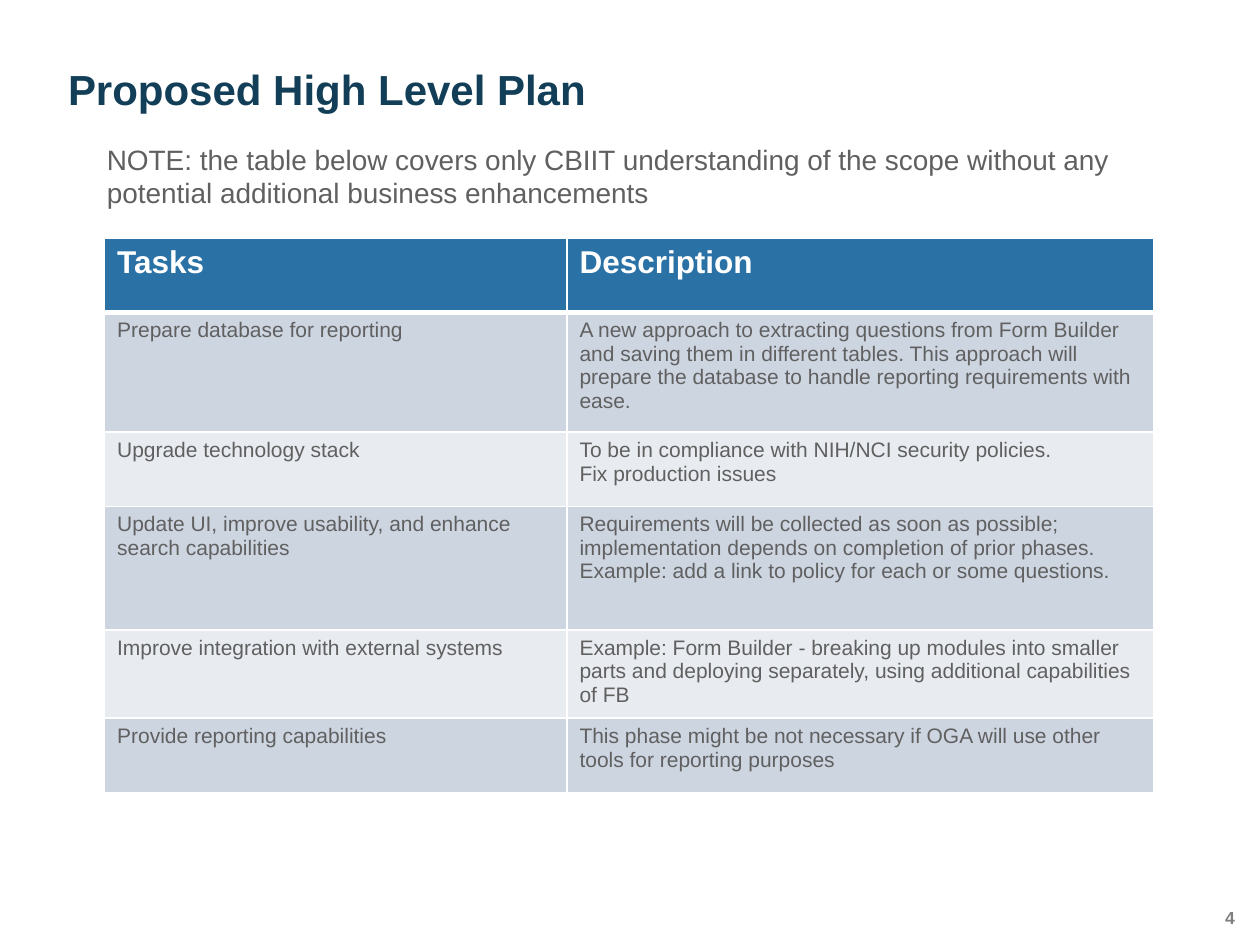
import lxml.etree
import pptx
import pptx.dml.color
import pptx.enum.text
import pptx.oxml.ns
import pptx.util

Inches = pptx.util.Inches
Pt = pptx.util.Pt
ALIGN = pptx.enum.text.PP_ALIGN
ANCHOR = pptx.enum.text.MSO_ANCHOR

COLORS = {
    "title": "123E57",
    "body": "606060",
    "number": "7F7F7F",
    "header": "2A71A5",
    "odd_row": "CDD5E1",
    "even_row": "E8EBF0",
    "white": "FFFFFF",
}

COLUMN_WIDTHS = [3.67, 4.66]
ROW_HEIGHTS = [0.59, 0.95, 0.59, 0.98, 0.7, 0.59]
PLAN = [
    ("Tasks", "Description"),
    ("Prepare database for reporting",
     "A new approach to extracting questions from Form Builder and saving them in "
     "different tables. This approach will prepare the database to handle reporting "
     "requirements with ease."),
    ("Upgrade technology stack",
     "To be in compliance with NIH/NCI security policies.\nFix production issues"),
    ("Update UI, improve usability, and enhance search capabilities",
     "Requirements will be collected as soon as possible; implementation depends on "
     "completion of prior phases.\n"
     "Example: add a link to policy for each or some questions."),
    ("Improve integration with external systems",
     "Example: Form Builder - breaking up modules into smaller parts and deploying "
     "separately, using additional capabilities of FB"),
    ("Provide reporting capabilities",
     "This phase might be not necessary if OGA will use other tools for reporting "
     "purposes"),
]


class SlideBuilder:
    """Holds the style and the current slide."""

    font = "Arial"

    def __init__(self, slide):
        self.slide = slide

    def color(self, name):
        return pptx.dml.color.RGBColor.from_string(COLORS[name])

    def format_text(self, text_frame, size, color, bold=False):
        for paragraph in text_frame.paragraphs:
            for run in paragraph.runs:
                run.font.name = self.font
                run.font.size = Pt(size)
                run.font.bold = bold
                run.font.color.rgb = self.color(color)

    def text(self, text, box, size, color, bold=False, align=ALIGN.LEFT,
             anchor=ANCHOR.TOP, line_spacing=1.0, margins=(0, 0)):
        shape = self.slide.shapes.add_textbox(*[Inches(value) for value in box])
        text_frame = shape.text_frame
        text_frame.word_wrap = True
        text_frame.vertical_anchor = anchor
        text_frame.margin_left = text_frame.margin_right = Inches(margins[0])
        text_frame.margin_top = text_frame.margin_bottom = Inches(margins[1])
        text_frame.text = text
        for paragraph in text_frame.paragraphs:
            paragraph.alignment = align
            paragraph.line_spacing = line_spacing
        self.format_text(text_frame, size, color, bold)

    def borders(self, cell, widths):
        """Draw white borders; they must precede the cell fill in the XML."""
        properties = cell._tc.get_or_add_tcPr()
        qn = pptx.oxml.ns.qn
        for index, (side, width) in enumerate(widths.items()):
            line = lxml.etree.Element(qn(f"a:ln{side}"), w=str(Pt(width)))
            fill = lxml.etree.SubElement(line, qn("a:solidFill"))
            lxml.etree.SubElement(fill, qn("a:srgbClr"), val=COLORS["white"])
            properties.insert(index, line)

    def table(self, rows, left, top, column_widths, row_heights):
        table = self.slide.shapes.add_table(
            len(rows), len(column_widths), Inches(left), Inches(top),
            Inches(sum(column_widths)), Inches(sum(row_heights))).table
        for column, width in zip(table.columns, column_widths):
            column.width = Inches(width)
        for row_index, (texts, height) in enumerate(zip(rows, row_heights)):
            table.rows[row_index].height = Inches(height)
            is_header = row_index == 0
            band = "odd_row" if row_index % 2 else "even_row"
            for column_index, text in enumerate(texts):
                cell = table.cell(row_index, column_index)
                cell.text_frame.text = text
                cell.fill.solid()
                cell.fill.fore_color.rgb = self.color("header" if is_header else band)
                if is_header:
                    self.format_text(cell.text_frame, 18, "white", bold=True)
                else:
                    self.format_text(cell.text_frame, 12, "body")
                self.borders(cell, {"L": 1, "R": 1,
                                    "T": 3 if row_index == 1 else 1,
                                    "B": 3 if is_header else 1})


def main():
    presentation = pptx.Presentation()
    presentation.slide_width = Inches(10)
    presentation.slide_height = Inches(7.5)
    builder = SlideBuilder(presentation.slides.add_slide(presentation.slide_layouts[6]))

    # Page number
    builder.text("4", (9.46, 7.2, 0.34, 0.2), 10, "number", bold=True, align=ALIGN.RIGHT)

    # Title and scope note
    builder.text("Proposed High Level Plan", (0.54, 0.45, 8.93, 0.46), 24, "title",
                 bold=True, anchor=ANCHOR.BOTTOM, line_spacing=0.9)
    builder.text("NOTE: the table below covers only CBIIT understanding of the scope "
                 "without any potential additional business enhancements",
                 (0.75, 1.08, 8.67, 0.64), 16, "body", margins=(0.1, 0.05))

    # Plan table
    builder.table(PLAN, 0.83, 1.89, COLUMN_WIDTHS, ROW_HEIGHTS)

    presentation.save("out.pptx")


if __name__ == "__main__":
    main()
